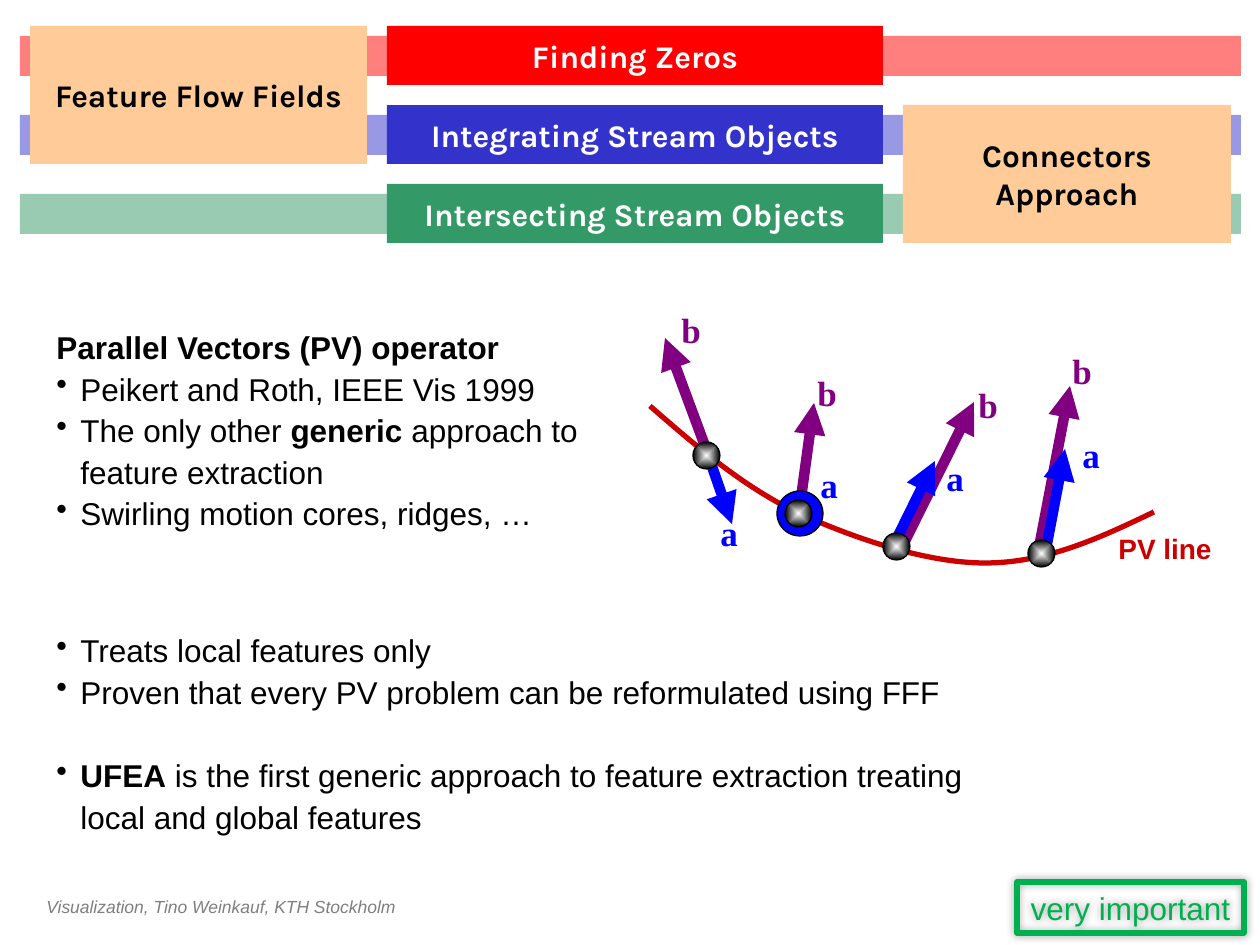
from typing import NamedTuple

from lxml.etree import SubElement
from pptx import Presentation
from pptx.dml.color import RGBColor
from pptx.enum.shapes import MSO_CONNECTOR, MSO_SHAPE
from pptx.enum.text import MSO_ANCHOR as Anchor, PP_ALIGN as Align
from pptx.oxml import parse_xml
from pptx.oxml.ns import nsdecls, qn
from pptx.util import Pt

PX = 914400 / 126
BLACK, WHITE, PEACH = "000000", "FFFFFF", "FFCC99"
RED, INDIGO, GREEN = "FF0000", "3333CC", "339966"
PURPLE, BLUE, CURVE_RED, NOTE_GREEN = "800080", "0000FF", "CC0000", "00B050"


class Run(NamedTuple):
    text: str
    bold: bool = False


class Para(NamedTuple):
    runs: list[Run]
    bullet: bool = True
    before: int = 0


class Stage(NamedTuple):
    title: str
    color: str


class Approach(NamedTuple):
    title: str
    left: int
    width: int
    first_row: int


class Arrow(NamedTuple):
    start: tuple[int, int]
    end: tuple[int, int]
    color: str


class Label(NamedTuple):
    text: str
    left: int
    top: int
    color: str


STAGES = [Stage("Finding Zeros", RED), Stage("Integrating Stream Objects", INDIGO),
          Stage("Intersecting Stream Objects", GREEN)]
APPROACHES = [Approach("Feature Flow Fields", 30, 337, 0),
              Approach("Connectors Approach", 903, 328, 1)]
ROW_TOP, ROW_STEP, ROW_HEIGHT, BAND_HEIGHT = 26, 79, 59, 40

ARROWS = [
    Arrow((902, 547), (974, 402), PURPLE),
    Arrow((1038, 553), (1070, 386), PURPLE),
    Arrow((1046, 549), (1065, 449), BLUE),
    Arrow((895, 542), (935, 461), BLUE),
    Arrow((799, 513), (814, 403), PURPLE),
    Arrow((708, 454), (665, 338), PURPLE),
    Arrow((707, 452), (732, 524), BLUE),
]
SPHERES = [(1028, 540), (883, 533), (785, 500), (693, 442)]
LABELS = [
    Label("b", 1060, 343, PURPLE), Label("a", 1070, 427, BLUE),
    Label("b", 966, 377, PURPLE), Label("a", 934, 450, BLUE),
    Label("b", 805, 365, PURPLE), Label("a", 808, 457, BLUE),
    Label("b", 669, 302, PURPLE), Label("a", 708, 505, BLUE),
]
# Start point, then three Bezier points for each segment
PV_CURVE = [(650, 406), (696, 446), (741, 485), (796, 512),
            (853, 538), (926, 563), (985, 563),
            (1046, 563), (1100, 538), (1154, 512)]

OPERATOR_NOTES = [
    Para([Run("Parallel Vectors (PV) operator", True)], bullet=False),
    Para([Run("Peikert and Roth, IEEE Vis 1999")]),
    Para([Run("The only other "), Run("generic", True),
          Run(" approach to feature extraction")]),
    Para([Run("Swirling motion cores, ridges, …")]),
]
COMPARISON_NOTES = [
    Para([Run("Treats local features only")]),
    Para([Run("Proven that every PV problem can be reformulated using FFF")]),
    Para([Run("UFEA", True), Run(" is the first generic approach to feature extraction "
                                 "treating local and global features")], before=24),
]


def px(length: float) -> int:
    return round(length * PX)


def rgb(color: str) -> RGBColor:
    return RGBColor.from_string(color)


def write(shape, text: str | list[Para], *, size=18, font="Arial", color=BLACK,
          bold=False, italic=False, align=Align.LEFT, anchor=Anchor.TOP,
          wrap=True, spacing=None) -> None:
    frame = shape.text_frame
    frame.word_wrap = wrap
    frame.vertical_anchor = anchor
    paras = [Para([Run(text, bold)], bullet=False)] if isinstance(text, str) else text
    for i, para in enumerate(paras):
        line = frame.add_paragraph() if i else frame.paragraphs[0]
        if para.bullet:
            props = line._p.get_or_add_pPr()
            props.set("marL", str(px(24)))
            props.set("indent", str(px(-24)))
            SubElement(props, qn("a:buChar"), char="•")
        line.alignment = align
        if spacing:
            line.line_spacing = spacing
        if para.before:
            line.space_before = Pt(para.before)
        for part in para.runs:
            run = line.add_run()
            run.text = part.text
            run.font.size = Pt(size)
            run.font.name = font
            run.font.bold = part.bold
            run.font.italic = italic
            run.font.color.rgb = rgb(color)


def add_box(slide, left: int, top: int, width: int, height: int, fill: str | None = None,
            kind=MSO_SHAPE.RECTANGLE, line: str | None = None, line_pt=0.75, alpha=100):
    shape = slide.shapes.add_shape(kind, px(left), px(top), px(width), px(height))
    shape.shadow.inherit = False
    if fill:
        shape.fill.solid()
        shape.fill.fore_color.rgb = rgb(fill)
        if alpha < 100:
            tint = shape._element.spPr.find(qn("a:solidFill"))[0]
            SubElement(tint, qn("a:alpha"), val=str(alpha * 1000))
    else:
        shape.fill.background()
    if line:
        shape.line.color.rgb = rgb(line)
        shape.line.width = Pt(line_pt)
    else:
        shape.line.fill.background()
    return shape


def add_text(slide, left: int, top: int, width: int, height: int, text, **style) -> None:
    write(slide.shapes.add_textbox(px(left), px(top), px(width), px(height)), text, **style)


def add_arrow(slide, arrow: Arrow) -> None:
    ends = [px(value) for value in (*arrow.start, *arrow.end)]
    connector = slide.shapes.add_connector(MSO_CONNECTOR.STRAIGHT, *ends)
    connector.line.color.rgb = rgb(arrow.color)
    connector.line.width = Pt(6)
    SubElement(connector.line._get_or_add_ln(), qn("a:tailEnd"), type="triangle")
    SubElement(connector._element.spPr, qn("a:effectLst"))


def add_curve(slide, points: list[tuple[int, int]], color: str) -> None:
    builder = slide.shapes.build_freeform(*points[0], scale=PX)
    builder.add_line_segments(points[1:], close=False)
    curve = builder.convert_to_shape()
    curve.shadow.inherit = False
    curve.fill.background()
    curve.line.color.rgb = rgb(color)
    curve.line.width = Pt(3)
    # Join every three line points into one cubic segment
    outline = next(curve._element.iter(qn("a:path")))
    steps = outline.findall(qn("a:lnTo"))
    for i in range(0, len(steps), 3):
        cubic = SubElement(outline, qn("a:cubicBezTo"))
        for step in steps[i:i + 3]:
            cubic.append(step[0])
            outline.remove(step)


def add_sphere(slide, left: int, top: int) -> None:
    sphere = add_box(slide, left, top, 27, 27, WHITE, MSO_SHAPE.OVAL, BLACK)
    props = sphere._element.spPr
    props.replace(props.find(qn("a:solidFill")), parse_xml(
        f'<a:gradFill {nsdecls("a")}><a:gsLst>'
        f'<a:gs pos="0"><a:srgbClr val="{WHITE}"/></a:gs>'
        f'<a:gs pos="100000"><a:srgbClr val="{BLACK}"/></a:gs></a:gsLst>'
        '<a:path path="shape"><a:fillToRect l="50000" t="50000" r="50000" b="50000"/>'
        '</a:path></a:gradFill>'))


def main() -> None:
    deck = Presentation()
    deck.slide_width, deck.slide_height = px(1260), px(945)
    slide = deck.slides.add_slide(deck.slide_layouts[6])

    # Footer
    add_text(slide, 34, 890, 931, 34, "Visualization, Tino Weinkauf, KTH Stockholm",
             size=10, color="7F7F7F", italic=True)

    # Stage bands, stages and the approaches that span two of them
    title_style = dict(font="Karla", bold=True, align=Align.CENTER, anchor=Anchor.MIDDLE)
    for row, stage in enumerate(STAGES):
        top = ROW_TOP + row * ROW_STEP
        add_box(slide, 20, top + 10, 1221, BAND_HEIGHT, stage.color, alpha=50)
        write(add_box(slide, 387, top, 496, ROW_HEIGHT, stage.color), stage.title,
              color=WHITE, **title_style)
    for approach in APPROACHES:
        top = ROW_TOP + approach.first_row * ROW_STEP
        panel = add_box(slide, approach.left, top, approach.width,
                        ROW_STEP + ROW_HEIGHT, PEACH)
        write(panel, approach.title, **title_style)

    # Parallel vectors diagram
    add_curve(slide, PV_CURVE, CURVE_RED)
    for arrow in ARROWS:
        add_arrow(slide, arrow)
    add_box(slide, 777, 491, 46, 45, BLUE, MSO_SHAPE.OVAL, BLACK)
    for left, top in SPHERES:
        add_sphere(slide, left, top)
    for label in LABELS:
        add_text(slide, label.left, label.top, 116, 54, label.text, size=20,
                 font="Times New Roman", color=label.color, bold=True)
    add_text(slide, 1106, 525, 118, 47, "PV line", size=16, color=CURVE_RED,
             bold=True, align=Align.CENTER, wrap=False)

    # Notes
    add_text(slide, 44, 318, 576, 248, OPERATOR_NOTES, spacing=1.1)
    add_text(slide, 44, 621, 973, 248, COMPARISON_NOTES, spacing=1.1)

    # Importance badge with a soft glow-like shadow
    badge = add_box(slide, 1017, 882, 227, 51, line=NOTE_GREEN, line_pt=3)
    write(badge, "very important", color=NOTE_GREEN, align=Align.CENTER,
          anchor=Anchor.MIDDLE, wrap=False)
    effects = badge._element.spPr.find(qn("a:effectLst"))
    shadow = SubElement(effects, qn("a:outerShdw"), blurRad=str(Pt(5)), dist="0", dir="0")
    shade = SubElement(shadow, qn("a:srgbClr"), val=BLACK)
    SubElement(shade, qn("a:alpha"), val="40000")

    deck.save("out.pptx")


if __name__ == "__main__":
    main()
